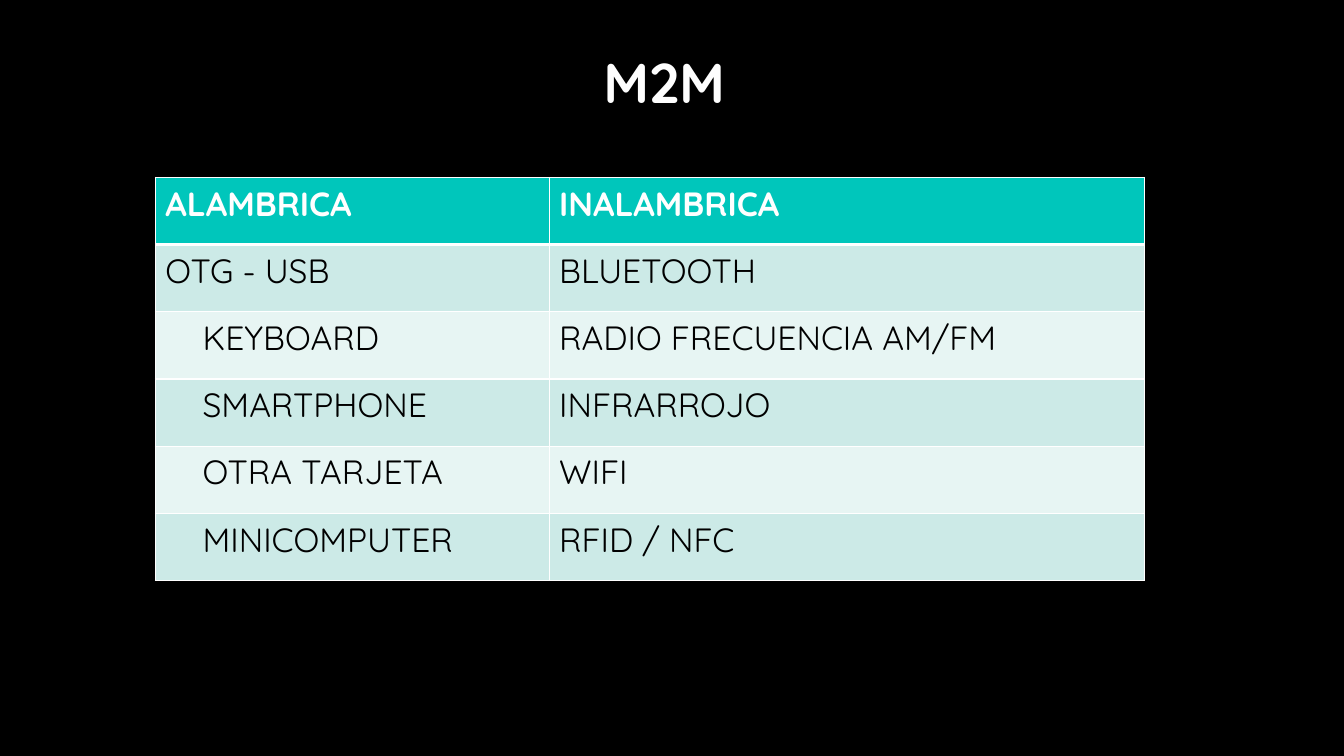
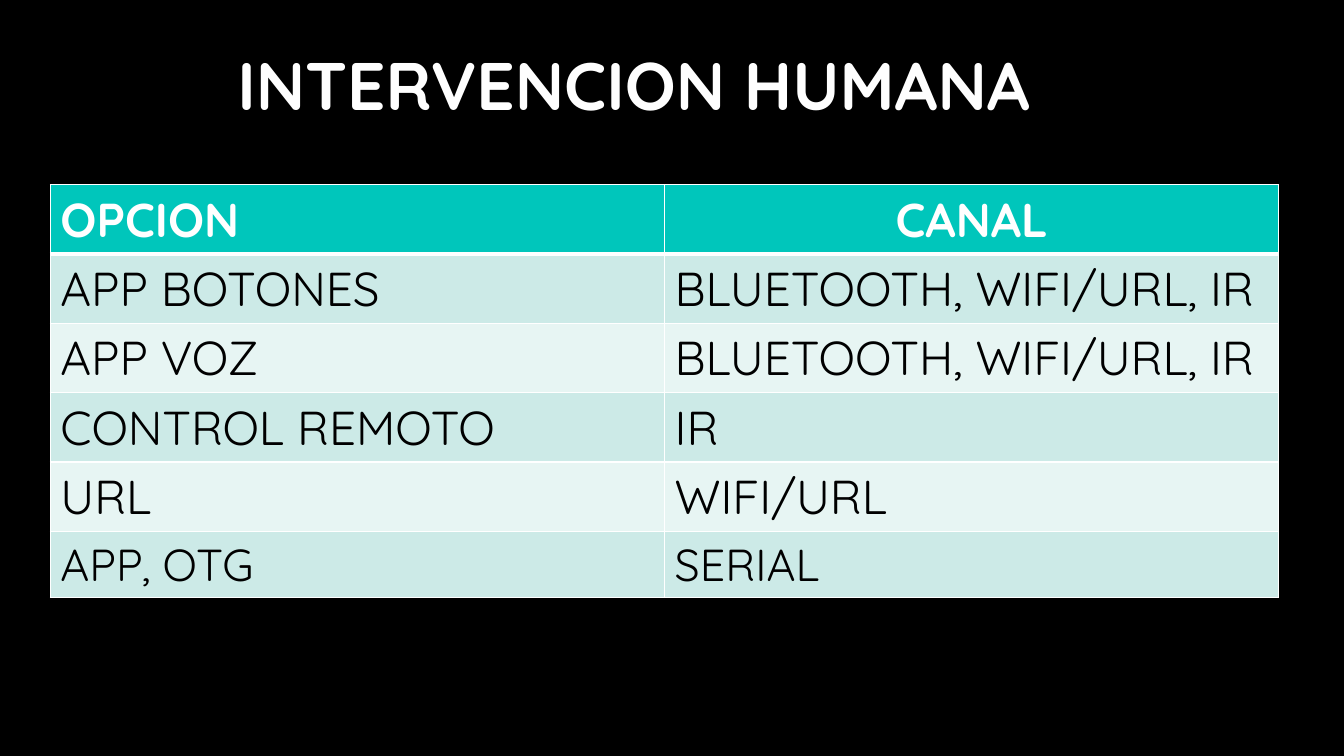
from lxml import etree
from pptx import Presentation
from pptx import util as u
from pptx.dml.color import RGBColor
from pptx.enum import text
from pptx.oxml import ns

PX = 9525
FONT = "Quicksand"
COLORS = {
    "background": "000000",
    "title": "FEFEFE",
    "header": "00C6BB",
    "header_text": "FFFFFF",
    "body_text": "000000",
    "band_dark": "CCEAE7",
    "band_light": "E7F5F3",
    "border": "FFFFFF",
}


def px(n):
    """Turn px into EMU."""
    return u.Emu(round(n * PX))


def rgb(name):
    """Return a named palette colour."""
    return RGBColor.from_string(COLORS[name])


def write(tf, words, size, color, bold=False, align=text.PP_ALIGN.LEFT):
    """Put one formatted paragraph in a text frame."""
    p = tf.paragraphs[0]
    p.alignment = align
    r = p.add_run()
    r.text = words
    r.font.name = FONT
    r.font.size = u.Pt(size)
    r.font.bold = bold
    r.font.color.rgb = rgb(color)


def add_borders(cell, **widths):
    """Draw cell borders, with widths in points keyed by side."""
    tc_pr = cell._tc.get_or_add_tcPr()
    for side in "LRTB":
        ln = etree.SubElement(tc_pr, ns.qn(f"a:ln{side}"), w=str(u.Pt(widths.get(side, 1))))
        fill = etree.SubElement(ln, ns.qn("a:solidFill"))
        etree.SubElement(fill, ns.qn("a:srgbClr"), val=COLORS["border"])


def add_title(s, box, words, size, anchor):
    """Place a centred slide title in its box."""
    tf = s.shapes.add_textbox(*map(px, box)).text_frame
    tf.word_wrap = True
    tf.vertical_anchor = anchor
    write(tf, words, size, "title", bold=True, align=text.PP_ALIGN.CENTER)


def add_grid(s, left, top, widths, heights, rows, sizes, indented=(), centred=()):
    """Place a banded table; indented and centred hold (row, column) pairs."""
    frame = s.shapes.add_table(len(rows), len(widths), px(left), px(top),
                               px(sum(widths)), px(sum(heights)))
    table = frame.table
    table.horz_banding = False
    for column, width in zip(table.columns, widths):
        column.width = px(width)
    for i, (row, height, size) in enumerate(zip(rows, heights, sizes)):
        table.rows[i].height = px(height)
        header = i == 0
        band = "header" if header else "band_dark" if i % 2 else "band_light"
        for j, words in enumerate(row):
            cell = table.cell(i, j)
            add_borders(cell, T=3 if i == 1 else 1, B=3 if header else 1)
            cell.fill.solid()
            cell.fill.fore_color.rgb = rgb(band)
            if (i, j) in indented:
                cell.margin_left = px(45)
            align = text.PP_ALIGN.CENTER if (i, j) in centred else text.PP_ALIGN.LEFT
            write(cell.text_frame, words, size, "header_text" if header else "body_text",
                  bold=header, align=align)


def add_slide(prs):
    """Add a blank slide with the shared background."""
    s = prs.slides.add_slide(prs.slide_layouts[6])
    s.background.fill.solid()
    s.background.fill.fore_color.rgb = rgb("background")
    return s


def m2m_slide(prs):
    """Build the slide on wired and wireless links."""
    s = add_slide(prs)
    add_title(s, (99, 26, 1067, 102), "M2M", 40, text.MSO_ANCHOR.MIDDLE)
    rows = [
        ("ALAMBRICA", "INALAMBRICA"),
        ("OTG - USB", "BLUETOOTH"),
        ("KEYBOARD", "RADIO FRECUENCIA AM/FM"),
        ("SMARTPHONE", "INFRARROJO"),
        ("OTRA TARJETA", "WIFI"),
        ("MINICOMPUTER", "RFID / NFC"),
    ]
    add_grid(s, 148, 169, (375, 567), [64] * 6, rows, [24] * 6,
             indented=[(i, 0) for i in range(2, 6)])


def human_slide(prs):
    """Build the slide on human control options."""
    s = add_slide(prs)
    add_title(s, (205, 30, 797, 93), "INTERVENCION HUMANA", 48, text.MSO_ANCHOR.BOTTOM)
    rows = [
        ("OPCION", "CANAL"),
        ("APP BOTONES", "BLUETOOTH, WIFI/URL, IR"),
        ("APP VOZ", "BLUETOOTH, WIFI/URL, IR"),
        ("CONTROL REMOTO", "IR"),
        ("URL", "WIFI/URL"),
        ("APP, OTG", "SERIAL"),
    ]
    add_grid(s, 48, 176, (585, 585), [66] * 5 + [63], rows, [34] * 5 + [32],
             centred=[(0, 1)])


def main():
    """Build and save the presentation."""
    prs = Presentation()
    prs.slide_width, prs.slide_height = px(1280), px(720)
    m2m_slide(prs)
    human_slide(prs)
    prs.save("out.pptx")


if __name__ == "__main__":
    main()
